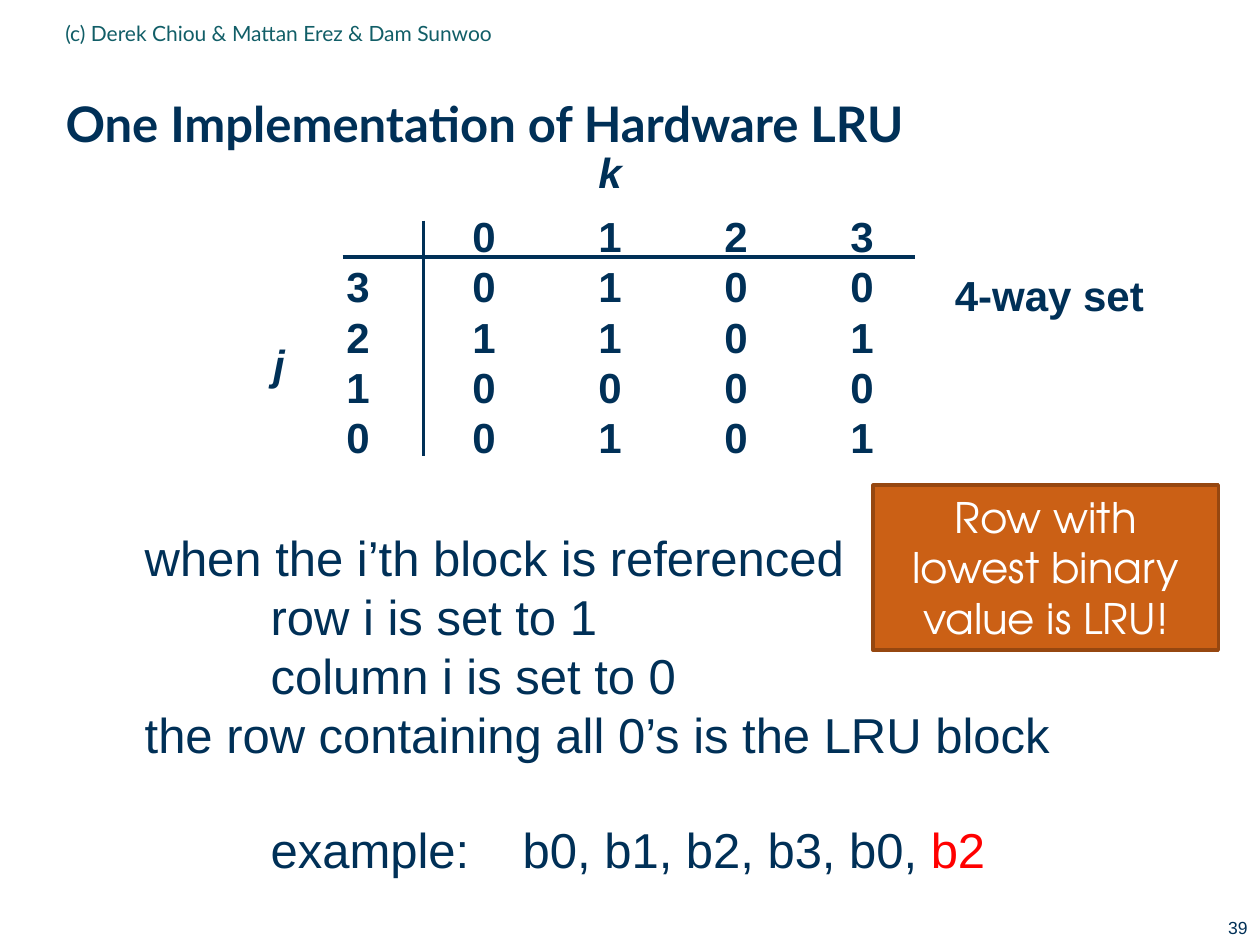
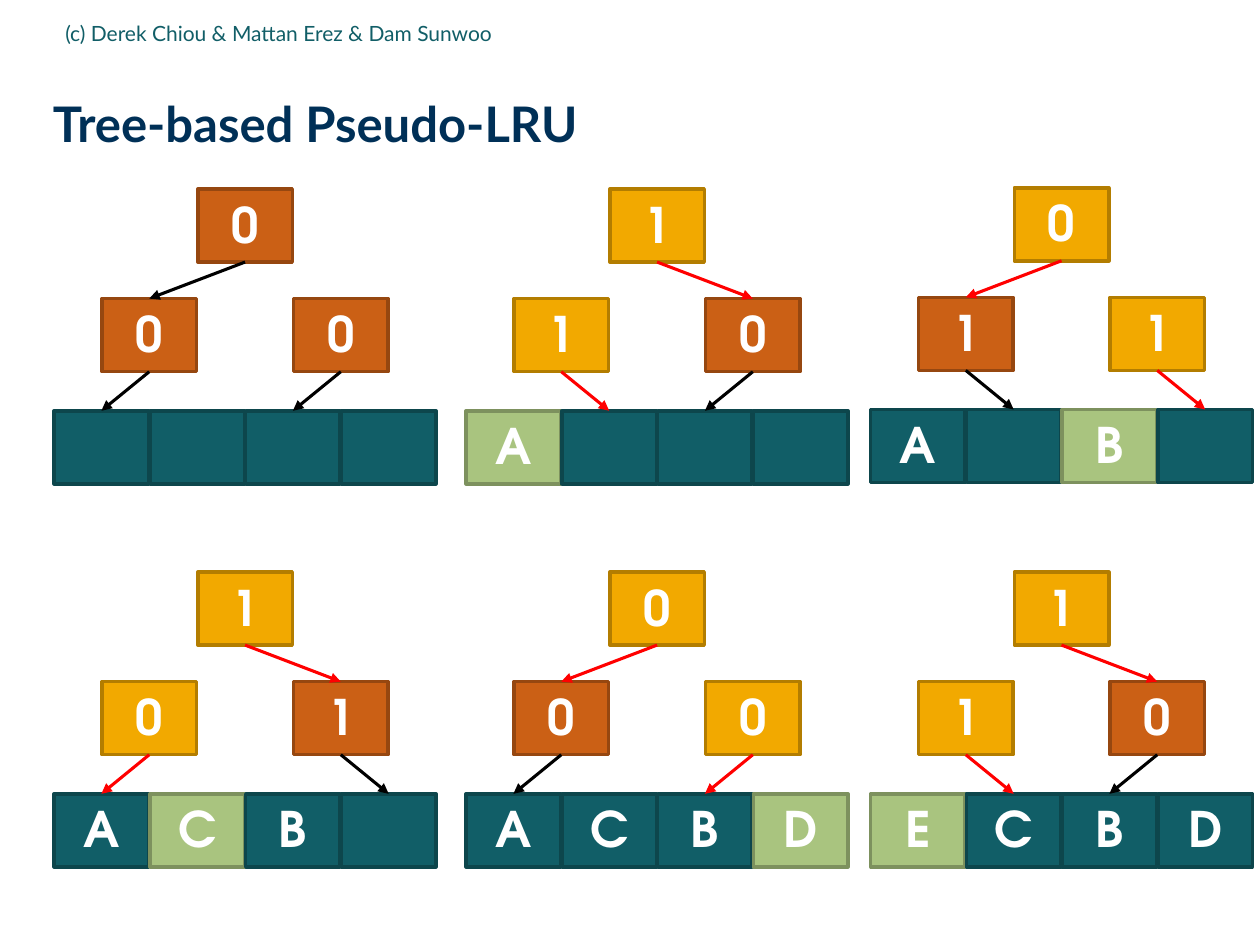
from lxml import etree
from pptx import Presentation
from pptx.dml.color import RGBColor
from pptx.enum.shapes import MSO_CONNECTOR, MSO_SHAPE
from pptx.enum.text import MSO_ANCHOR, MSO_AUTO_SIZE, PP_ALIGN
from pptx.oxml.ns import qn
from pptx.util import Inches, Pt

RECT = MSO_SHAPE.RECTANGLE
STRAIGHT = MSO_CONNECTOR.STRAIGHT
TOP, MIDDLE = MSO_ANCHOR.TOP, MSO_ANCHOR.MIDDLE
LEFT, CENTER, RIGHT = PP_ALIGN.LEFT, PP_ALIGN.CENTER, PP_ALIGN.RIGHT
NO_FIT, GROW = MSO_AUTO_SIZE.NONE, MSO_AUTO_SIZE.SHAPE_TO_FIT_TEXT

NAVY, TEAL, WHITE, BLACK, RED = "003057", "115E67", "FFFFFF", "000000", "FF0000"
ORANGE_BOX = ("CB6015", "964710")
YELLOW_BOX = ("F2A900", "B37D00")
TEAL_BOX = (TEAL, "0D464C")
GREEN_BOX = ("A9C47F", "7D915E")
SANS, HEADING, ROUND = "Arial", "Lato", "TeX Gyre Adventor"

BOX_W, BOX_H, STEP = 0.75, 0.58, 0.76
CHILD_DROP, LEAF_DROP = 0.87, 1.76

TREES = [
    (0.43, 1.5, "000", ["", "", "", ""], None),
    (3.7, 1.5, "110", ["A", "", "", ""], 0),
    (6.91, 1.49, "011", ["A", "", "B", ""], 2),
    (0.43, 4.54, "101", ["A", "C", "B", ""], 1),
    (3.7, 4.54, "000", ["A", "C", "B", "D"], 3),
    (6.91, 4.54, "110", ["E", "C", "B", "D"], 0),
]


def rgb(color):
    return RGBColor.from_string(color)


def add_run(p, text, size, font, color, bold=False, italic=False):
    r = p.add_run()
    r.text = text
    r.font.size = Pt(size)
    r.font.name = font
    r.font.bold = bold
    r.font.italic = italic
    r.font.color.rgb = rgb(color)


def write_text(tf, text, align=LEFT, anchor=TOP, margin=None, spacing=None,
               wrap=True, fit=NO_FIT, **font):
    tf.word_wrap = wrap
    tf.auto_size = fit
    tf.vertical_anchor = anchor
    if margin is not None:
        tf.margin_left = tf.margin_right = Inches(margin)
        tf.margin_top = tf.margin_bottom = Inches(margin)
    for i, line in enumerate(text.split("\n")):
        p = tf.add_paragraph() if i else tf.paragraphs[0]
        p.alignment = align
        p.line_spacing = spacing
        add_run(p, line, **font)
    return tf


def add_label(slide, text, x, y, w, h, **kw):
    box = slide.shapes.add_textbox(Inches(x), Inches(y), Inches(w), Inches(h))
    return write_text(box.text_frame, text, **kw)


def set_tabs(tf, stops):
    for p in tf.paragraphs:
        tabs = etree.SubElement(p._p.get_or_add_pPr(), qn("a:tabLst"))
        for stop in stops:
            etree.SubElement(tabs, qn("a:tab"), pos=str(Inches(stop)), algn="l")


def add_box(shapes, text, x, y, w, h, colors, **kw):
    s = shapes.add_shape(RECT, Inches(x), Inches(y), Inches(w), Inches(h))
    fill, line = colors
    s.shadow.inherit = False
    s.fill.solid()
    s.fill.fore_color.rgb = rgb(fill)
    s.line.color.rgb = rgb(line)
    s.line.width = Pt(2)
    if text:
        write_text(s.text_frame, text, align=CENTER, font=ROUND, color=WHITE, **kw)


def add_line(shapes, x1, y1, x2, y2, color, width, arrow=False):
    c = shapes.add_connector(STRAIGHT, Inches(x1), Inches(y1), Inches(x2), Inches(y2))
    c.line.color.rgb = rgb(color)
    c.line.width = Pt(width)
    if arrow:
        etree.SubElement(c.line._get_or_add_ln(), qn("a:tailEnd"), type="triangle")
    etree.SubElement(c._element.spPr, qn("a:effectLst"))


def add_slide(prs, title, margin=None):
    slide = prs.slides.add_slide(prs.slide_layouts[5])
    s = slide.shapes.title
    s.left, s.top, s.width, s.height = Inches(0.42), Inches(0.5), Inches(9.41), Inches(0.98)
    write_text(s.text_frame, title, anchor=MIDDLE, margin=margin, spacing=0.99,
               size=28, font=HEADING, color=NAVY, bold=True)
    add_label(slide, "(c) Derek Chiou & Mattan Erez & Dam Sunwoo", 0.42, 0.03, 5.67, 0.46,
              anchor=MIDDLE, size=12, font=HEADING, color=TEAL)
    return slide


def add_node(shapes, text, x, y, colors):
    add_box(shapes, text, x, y, BOX_W, BOX_H, colors, anchor=MIDDLE, margin=0,
            spacing=0.99, size=28, bold=True)


def add_tree(slide, left, top, bits, leaves, newest):
    shapes = slide.shapes.add_group_shape().shapes
    changed_child = None if newest is None else newest // 2
    nodes = [
        (1.5, 0, 1, CHILD_DROP, newest is not None),
        (0.5, CHILD_DROP, 0.5, LEAF_DROP, changed_child == 0),
        (2.5, CHILD_DROP, 0.5, LEAF_DROP, changed_child == 1),
    ]
    for bit, (col, drop, _, _, changed) in zip(bits, nodes):
        add_node(shapes, bit, left + col * STEP, top + drop,
                 YELLOW_BOX if changed else ORANGE_BOX)
    for i, leaf in enumerate(leaves):
        add_node(shapes, leaf, left + i * STEP, top + LEAF_DROP,
                 GREEN_BOX if i == newest else TEAL_BOX)
    for bit, (col, drop, reach, target, changed) in zip(bits, nodes):
        x = left + col * STEP + BOX_W / 2
        shift = reach * STEP if bit == "1" else -reach * STEP
        add_line(shapes, x, top + drop + BOX_H, x + shift, top + target,
                 RED if changed else BLACK, 1.75, arrow=True)


def build_hardware_lru(prs):
    slide = add_slide(prs, "One Implementation of Hardware LRU")
    add_label(slide, "39", 7.67, 7.23, 2.33, 0.27, align=RIGHT, size=10, font=SANS, color=NAVY)

    bold = dict(size=24, font=SANS, color=NAVY, bold=True)
    rows = ["\t0\t1\t2\t3", "3\t0\t1\t0\t0", "2\t1\t1\t0\t1", "1\t0\t0\t0\t0", "0\t0\t1\t0\t1"]
    matrix = add_label(slide, "\n".join(rows), 2.65, 1.62, 5.2, 2.09, **bold)
    set_tabs(matrix, range(1, 5))
    for text, x, y, w, italic in [("j", 2.07, 2.64, 0.29, True), ("k", 4.65, 1.11, 0.39, True),
                                  ("4-way set", 7.48, 2.09, 1.7, False)]:
        add_label(slide, text, x, y, w, 0.5, wrap=False, fit=GROW, italic=italic, **bold)

    body = dict(size=28, font=SANS, color=NAVY)
    rules = add_label(slide, "when the i’th block is referenced\n\trow i is set to 1\n"
                      "\tcolumn i is set to 0\nthe row containing all 0’s is the LRU block\n"
                      "\texample:\tb0, b1, b2, b3, b0, ", 1.05, 4.14, 7.41, 2.9,
                      wrap=False, **body)
    example = rules.paragraphs[-1]
    example.space_before = Pt(32)
    add_run(example, "b2", 28, SANS, RED)
    set_tabs(rules, range(1, 4))

    add_line(slide.shapes, 2.72, 2.04, 7.26, 2.04, NAVY, 2)
    add_line(slide.shapes, 3.36, 1.75, 3.36, 3.62, NAVY, 2)
    add_box(slide.shapes, "Row with lowest binary value is LRU!", 6.93, 3.85, 2.74, 1.31,
            ORANGE_BOX, size=24)


def build_pseudo_lru(prs):
    slide = add_slide(prs, "Tree-based Pseudo-LRU", margin=0)
    for tree in TREES:
        add_tree(slide, *tree)


def main():
    prs = Presentation()
    prs.slide_width, prs.slide_height = Inches(10), Inches(7.5)
    build_hardware_lru(prs)
    build_pseudo_lru(prs)
    prs.save("out.pptx")


if __name__ == "__main__":
    main()
